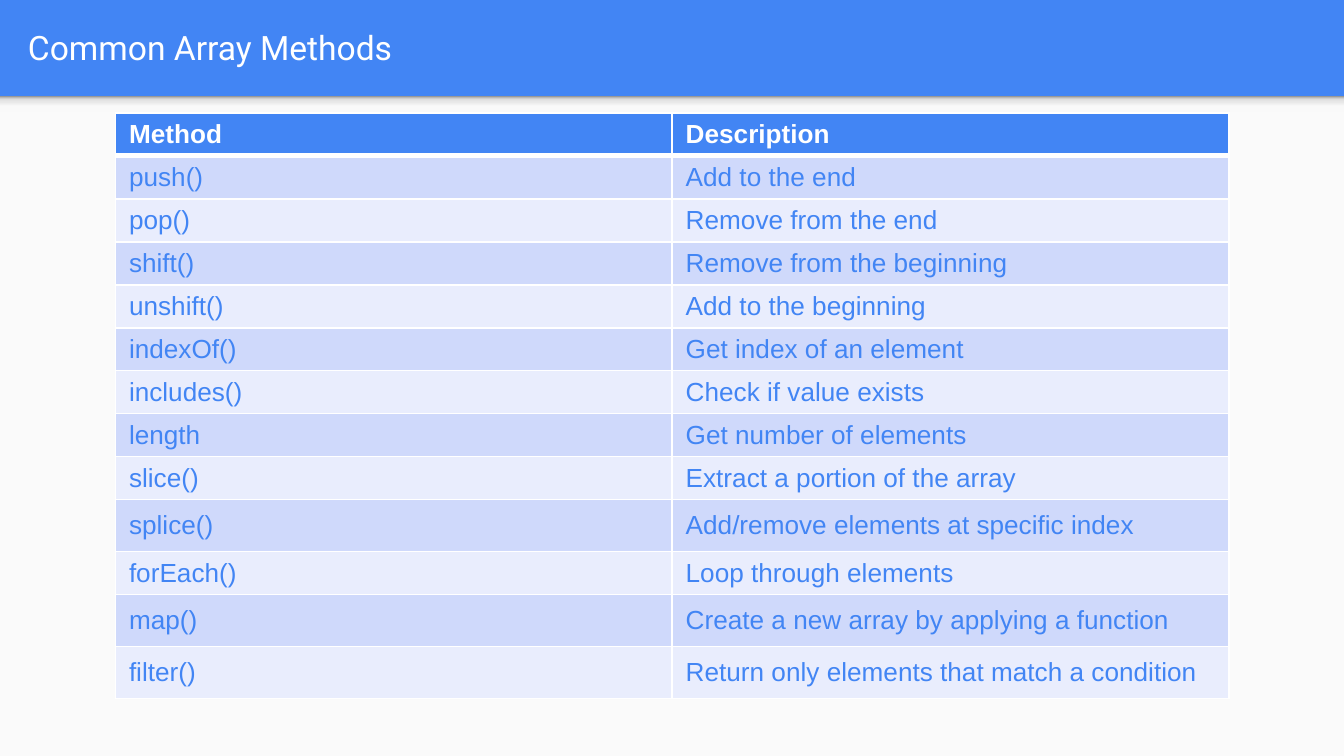
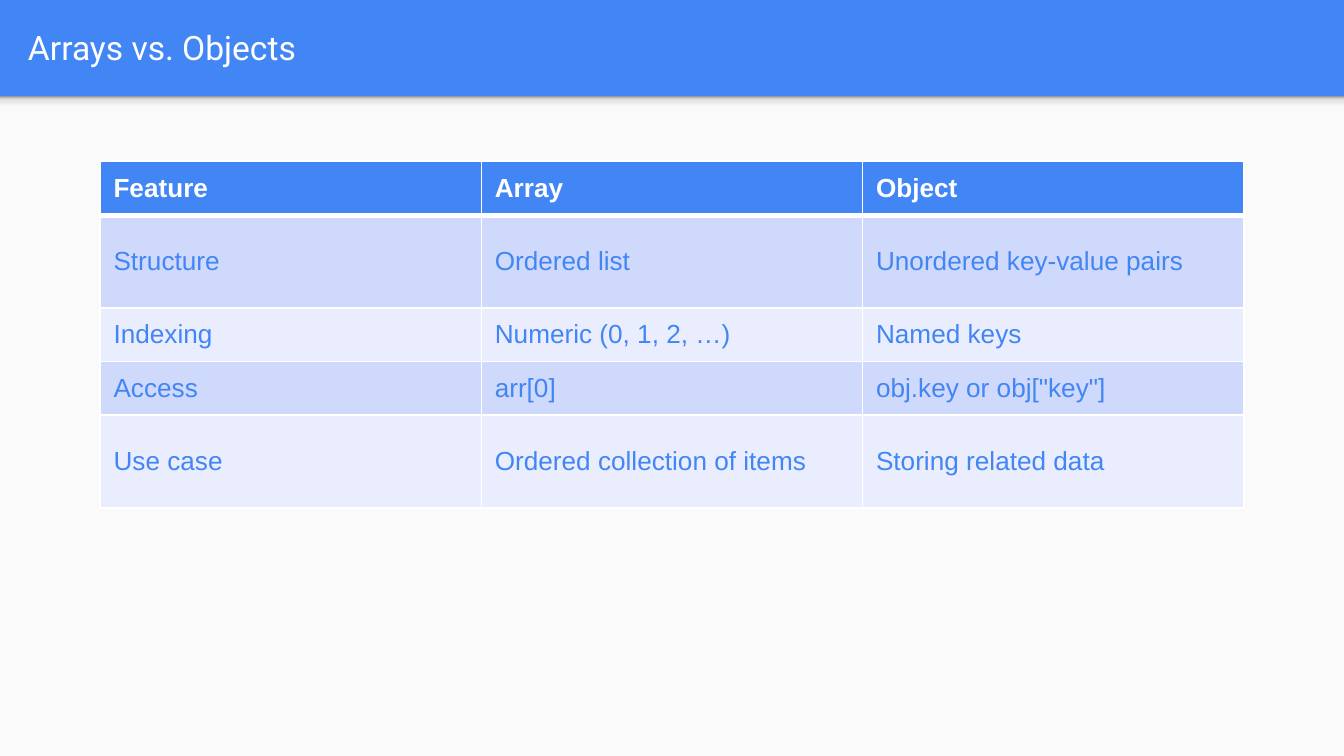
from dataclasses import dataclass

from lxml.etree import SubElement
from pptx import Presentation
from pptx.dml.color import RGBColor
from pptx.enum.shapes import MSO_SHAPE
from pptx.enum.text import MSO_ANCHOR
from pptx.oxml import parse_xml
from pptx.oxml.ns import nsdecls, qn
from pptx.util import Inches, Pt

# Grid: 100 columns by 56.25 rows on a 16:9 slide
WIDTH, HEIGHT = Inches(10), Pt(405)
COLS, ROWS = 100, 56.25
BAND = 7.15

# Colours and text formats
BLUE, WHITE, PAPER = "4285F4", "FFFFFF", "FAFAFA"
STRIPES = ("CFD9FB", "E9EDFD")
SHADE = ((0, "F9F9F9"), (36, "F9F9F9"), (80, "DEDEDE"), (100, "999999"))
TITLE = {"name": "Roboto", "size": Pt(18), "bold": False}
HEAD = {"name": "Arial", "size": Pt(14), "bold": True}
BODY = {**HEAD, "bold": False}
INSETS = {"margin_left": Pt(7.2), "margin_right": Pt(7.2),
          "margin_top": Pt(3.1), "margin_bottom": Pt(3.1),
          "vertical_anchor": MSO_ANCHOR.MIDDLE}


@dataclass
class Box:
    """A place on the grid, in columns and rows."""
    left: float
    top: float
    width: float
    height: float

    def emu(self) -> tuple:
        return (across(self.left), down(self.top),
                across(self.width), down(self.height))


@dataclass
class Page:
    title: str
    left: float
    top: float
    width: float
    heights: list
    cells: list


PAGES = [
    Page("Common Array Methods", 8.6, 8.4, 82.85,
         [2.9] * 9 + [3.87, 2.9, 3.87, 3.87], [
             ("Method", "Description"),
             ("push()", "Add to the end"),
             ("pop()", "Remove from the end"),
             ("shift()", "Remove from the beginning"),
             ("unshift()", "Add to the beginning"),
             ("indexOf()", "Get index of an element"),
             ("includes()", "Check if value exists"),
             ("length", "Get number of elements"),
             ("slice()", "Extract a portion of the array"),
             ("splice()", "Add/remove elements at specific index"),
             ("forEach()", "Loop through elements"),
             ("map()", "Create a new array by applying a function"),
             ("filter()", "Return only elements that match a condition"),
         ]),
    Page("Arrays vs. Objects", 7.45, 12, 85.1,
         [4, 6.9, 4, 4, 6.9], [
             ("Feature", "Array", "Object"),
             ("Structure", "Ordered list", "Unordered key-value pairs"),
             ("Indexing", "Numeric (0, 1, 2, …)", "Named keys"),
             ("Access", "arr[0]", 'obj.key or obj["key"]'),
             ("Use case", "Ordered collection of items",
              "Storing related data"),
         ]),
]


def across(cols: float) -> int:
    return round(WIDTH * cols / COLS)


def down(rows: float) -> int:
    return round(HEIGHT * rows / ROWS)


def paint(fill, tone: str) -> None:
    fill.solid()
    fill.fore_color.rgb = RGBColor.from_string(tone)


def style(part, form: dict) -> None:
    for key, value in form.items():
        setattr(part, key, value)


def write(frame, text: str, form: dict, tone: str) -> None:
    run = frame.paragraphs[0].add_run()
    run.text = text
    style(run.font, form)
    run.font.color.rgb = RGBColor.from_string(tone)


def panel(slide, box: Box, tone: str):
    shape = slide.shapes.add_shape(MSO_SHAPE.RECTANGLE, *box.emu())
    shape.shadow.inherit = False
    shape.line.fill.background()
    paint(shape.fill, tone)
    return shape


def fade(shape) -> None:
    """Swap the plain fill for the upward shadow gradient."""
    stops = "".join(f'<a:gs pos="{pos * 1000}"><a:srgbClr val="{tone}"/></a:gs>'
                    for pos, tone in SHADE)
    grad = parse_xml(f'<a:gradFill {nsdecls("a")}><a:gsLst>{stops}</a:gsLst>'
                     '<a:lin ang="16200000" scaled="0"/></a:gradFill>')
    props = shape.fill._xPr
    props.replace(props.find(qn("a:solidFill")), grad)


def frame_cell(cell, top: float, base: float) -> None:
    """Draw white cell borders, widths in points."""
    props = cell._tc.get_or_add_tcPr()
    for side, size in (("L", 1), ("R", 1), ("T", top), ("B", base)):
        line = SubElement(props, qn(f"a:ln{side}"), w=str(Pt(size)))
        SubElement(SubElement(line, qn("a:solidFill")),
                   qn("a:srgbClr"), val=WHITE)


def backdrop(slide, title: str) -> None:
    panel(slide, Box(0, BAND, COLS, ROWS - BAND), PAPER)
    fade(panel(slide, Box(0, BAND, COLS, 1.2), PAPER))
    frame = slide.shapes.add_textbox(*Box(1.1, 0.2, 96.5, 6.6).emu()).text_frame
    pad = {f"margin_{side}": Inches(0.1)
           for side in ("left", "right", "top", "bottom")}
    style(frame, {"word_wrap": True, "vertical_anchor": MSO_ANCHOR.MIDDLE, **pad})
    write(frame, title, TITLE, WHITE)


def grid(slide, page: Page) -> None:
    box = Box(page.left, page.top, page.width, sum(page.heights))
    table = slide.shapes.add_table(
        len(page.cells), len(page.cells[0]), *box.emu()).table
    table.horz_banding = False
    for i, (high, words) in enumerate(zip(page.heights, page.cells)):
        table.rows[i].height = down(high)
        head = i == 0
        for j, text in enumerate(words):
            cell = table.cell(i, j)
            style(cell, INSETS)
            # The rule under the header is shared by the first two rows
            frame_cell(cell, 3 if i == 1 else 1, 3 if head else 1)
            paint(cell.fill, BLUE if head else STRIPES[(i - 1) % 2])
            write(cell.text_frame, text, HEAD if head else BODY,
                  WHITE if head else BLUE)


def main() -> None:
    deck = Presentation()
    deck.slide_width, deck.slide_height = WIDTH, HEIGHT
    paint(deck.slide_master.background.fill, BLUE)
    for page in PAGES:
        slide = deck.slides.add_slide(deck.slide_layouts[6])
        backdrop(slide, page.title)
        grid(slide, page)
    deck.save("out.pptx")


if __name__ == "__main__":
    main()
